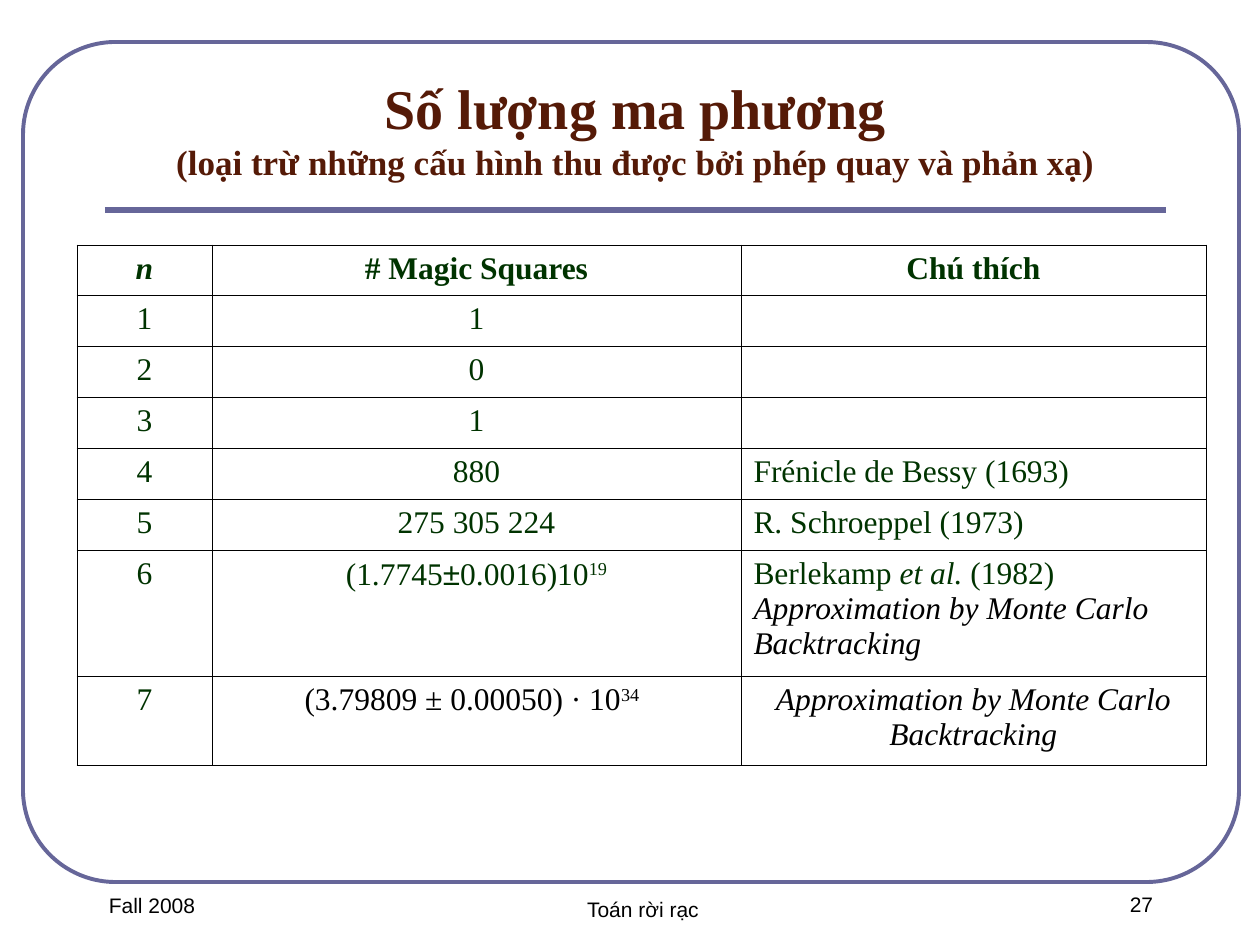
"""Build a slide tabulating the number of magic squares of each order."""
from dataclasses import dataclass, replace
from typing import Optional

from lxml import etree
from pptx import Presentation
from pptx import util as u
from pptx.dml.color import RGBColor
from pptx.enum import shapes, text
from pptx.oxml.ns import qn

PX = 914400 / 126
CENTER, LEFT = text.PP_ALIGN.CENTER, text.PP_ALIGN.LEFT


@dataclass(frozen=True)
class Theme:
    frame: str = "666699"
    title: str = "551A07"
    body: str = "003300"
    ink: str = "000000"
    serif: str = "Times New Roman"
    sans: str = "Arial"
    title_pt: int = 32
    subtitle_pt: int = 20
    body_pt: int = 18
    footer_pt: int = 12
    border_pt: float = 0.45


T = Theme()


@dataclass(frozen=True)
class Run:
    text: str
    color: str = T.body
    size: int = T.body_pt
    font: str = T.serif
    bold: bool = False
    italic: bool = False
    raised: bool = False


@dataclass(frozen=True)
class Box:
    x: int
    y: int
    w: int
    h: int

    def emu(self) -> list[int]:
        return [px(v) for v in (self.x, self.y, self.w, self.h)]


@dataclass(frozen=True)
class Cell:
    paragraphs: tuple[tuple[Run, ...], ...] = ()
    align: text.PP_ALIGN = CENTER


@dataclass(frozen=True)
class Footer:
    box: Box
    text: str


def px(v: int) -> int:
    return round(v * PX)


def add_run(p, run: Run) -> None:
    r = p.add_run()
    r.text = run.text
    f = r.font
    f.name, f.size, f.bold, f.italic = run.font, u.Pt(run.size), run.bold, run.italic
    f.color.rgb = RGBColor.from_string(run.color)
    if run.raised:
        r._r.get_or_add_rPr().set("baseline", "30000")


def add_text(s, box: Box, lines: list[Run], anchor=text.MSO_ANCHOR.TOP) -> None:
    tf = s.shapes.add_textbox(*box.emu()).text_frame
    tf.word_wrap, tf.vertical_anchor = True, anchor
    p = tf.paragraphs[0]
    p.alignment = CENTER
    for i, run in enumerate(lines):
        if i:
            p.add_line_break()
        add_run(p, run)


def add_frame(s, box: Box, rule: Box) -> None:
    sp = s.shapes.add_shape(shapes.MSO_SHAPE.ROUNDED_RECTANGLE, *box.emu())
    sp.adjustments[0] = 0.11
    sp.shadow.inherit = False
    sp.fill.background()
    line = s.shapes.add_connector(
        shapes.MSO_CONNECTOR.STRAIGHT, px(rule.x), px(rule.y), px(rule.x + rule.w), px(rule.y + rule.h))
    etree.SubElement(line._element.spPr, qn("a:effectLst"))
    for shape, width in ((sp, 2.25), (line, 3)):
        shape.line.color.rgb = RGBColor.from_string(T.frame)
        shape.line.width = u.Pt(width)


def style_cell(cell) -> None:
    tc_pr = cell._tc.get_or_add_tcPr()
    for side in ("lnL", "lnR", "lnT", "lnB"):
        ln = etree.SubElement(tc_pr, qn(f"a:{side}"), w=str(u.Pt(T.border_pt)))
        fill = etree.SubElement(ln, qn("a:solidFill"))
        etree.SubElement(fill, qn("a:srgbClr"), val=T.ink)
    cell.fill.background()


def fill_cell(cell, content: Cell) -> None:
    style_cell(cell)
    tf = cell.text_frame
    for i, runs in enumerate(content.paragraphs):
        p = tf.add_paragraph() if i else tf.paragraphs[0]
        p.alignment = content.align
        for run in runs:
            add_run(p, run)


def add_grid(s, x: int, y: int, cols: list[int], heights: list[int], rows: list[list[Cell]]) -> None:
    box = Box(x, y, sum(cols), sum(heights))
    table = s.shapes.add_table(len(rows), len(cols), *box.emu()).table
    table.first_row = table.horz_banding = False
    for column, w in zip(table.columns, cols):
        column.width = px(w)
    for r, (row, h) in enumerate(zip(rows, heights)):
        table.rows[r].height = px(h)
        for c, content in enumerate(row):
            fill_cell(table.cell(r, c), content)


def cell(*runs: Run, align: text.PP_ALIGN = CENTER) -> Cell:
    return Cell((runs,), align)


def table_rows() -> list[list[Cell]]:
    head = Run("", bold=True)
    method = Run("Approximation by Monte Carlo Backtracking", color=T.ink, italic=True)
    berlekamp = (Run("Berlekamp "), Run("et al. ", italic=True), Run("(1982)"))
    estimate_6 = cell(Run("(1.7745"), Run("±", font=T.sans), Run("0.0016)10"), Run("19", raised=True))
    estimate_7 = cell(Run("(3.79809 ± 0.00050) · 10", color=T.ink), Run("34  ", color=T.ink, raised=True))
    header = [cell(replace(head, text="n", italic=True)),
              cell(replace(head, text="# Magic Squares")),
              cell(replace(head, text="Chú thích"))]
    exact: list[tuple[str, Optional[str]]] = [
        ("1", None), ("0", None), ("1", None),
        ("880", "Frénicle de Bessy (1693)"), ("275 305 224", "R. Schroeppel (1973)")]
    rows = [header]
    for n, (count, note) in enumerate(exact, 1):
        rows.append([cell(Run(str(n))), cell(Run(count)),
                     cell(Run(note), align=LEFT) if note else Cell()])
    rows.append([cell(Run("6")), estimate_6, Cell((berlekamp, (method,)), LEFT)])
    rows.append([cell(Run("7")), estimate_7, cell(method)])
    return rows


def main() -> None:
    prs = Presentation()
    prs.slide_width, prs.slide_height = u.Inches(10), u.Inches(7.5)
    s = prs.slides.add_slide(prs.slide_layouts[6])
    add_frame(s, Box(23, 42, 1216, 840), Box(105, 210, 1061, 0))
    add_text(s, Box(105, 53, 1061, 136), [
        Run("Số lượng ma phương", T.title, T.title_pt, bold=True),
        Run("(loại trừ những cấu hình thu được bởi phép quay và phản xạ)",
            T.title, T.subtitle_pt, bold=True),
    ], text.MSO_ANCHOR.BOTTOM)
    for footer in (Footer(Box(10, 886, 284, 63), "Fall 2008"),
                   Footer(Box(330, 890, 626, 63), "Toán rời rạc"),
                   Footer(Box(1062, 885, 159, 63), "27")):
        add_text(s, footer.box, [Run(footer.text, T.ink, T.footer_pt, T.sans)])
    add_grid(s, 77, 245, [135, 529, 465], [50] + [51] * 5 + [126, 89], table_rows())
    prs.save("out.pptx")


if __name__ == "__main__":
    main()
